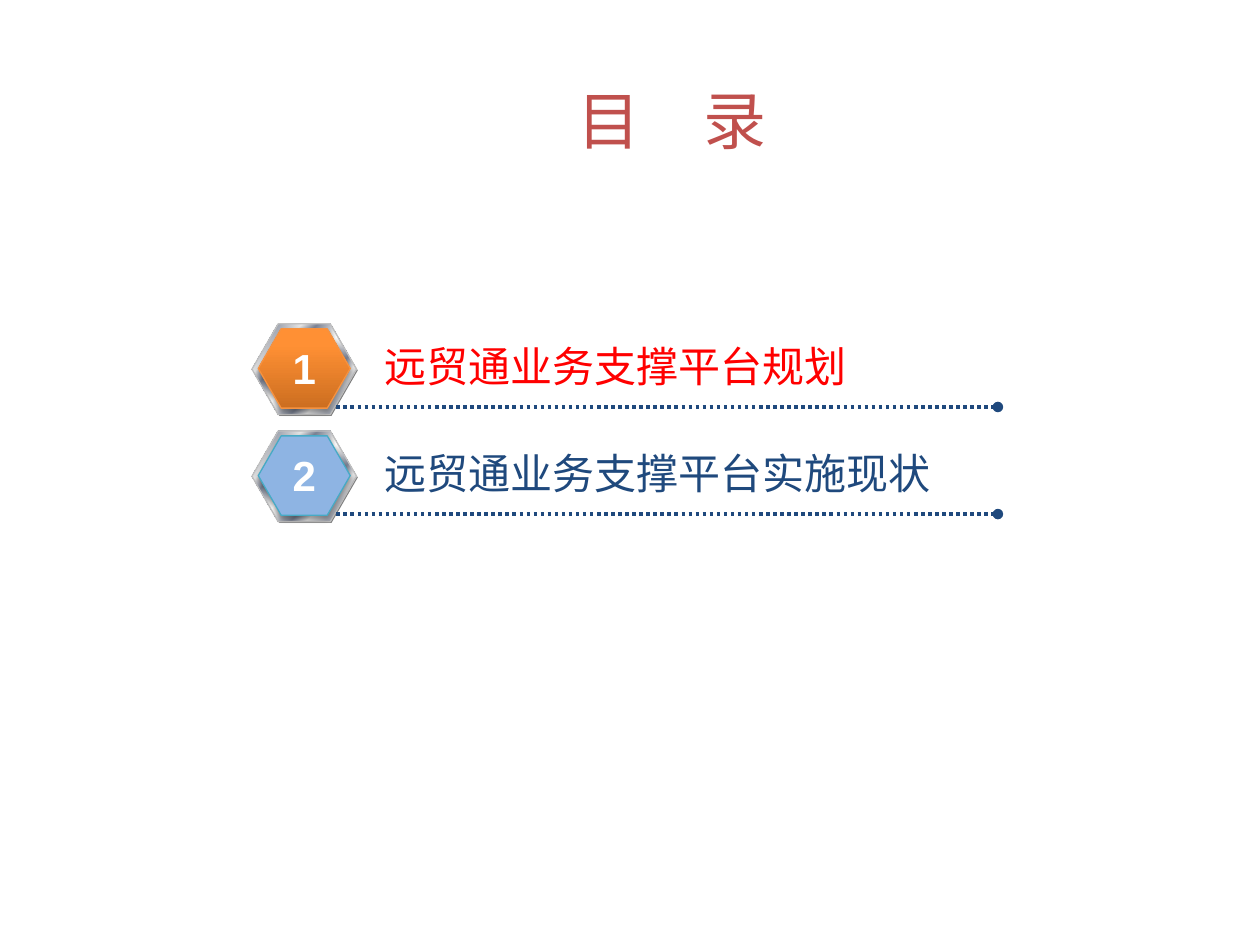
from dataclasses import dataclass

from pptx import Presentation
from pptx.dml.color import RGBColor
from pptx.enum.dml import MSO_LINE
from pptx.enum.shapes import MSO_CONNECTOR, MSO_SHAPE
from pptx.enum.text import MSO_ANCHOR, MSO_AUTO_SIZE, PP_ALIGN
from pptx.oxml import parse_xml
from pptx.oxml.ns import nsdecls, qn
from pptx.util import Emu, Pt

PX = 9144  # EMU in one px, 100 px to the inch
ROW_PITCH = 85


@dataclass(frozen=True)
class Theme:
    title: str = "C0504D"
    active: str = "FF0000"
    navy: str = "1F497D"
    white: str = "FFFFFF"
    shade: str = "808080"
    rim: str = "C0C0C0"
    orange_edge: str = "F69240"
    blue: str = "8EB4E3"
    blue_edge: str = "46AAC5"
    orange: tuple = (270, ((0, "CC6E20"), (80, "FF9034"), (100, "FF9136")))
    steel: tuple = (45, (
        (0, "E6E6E6"), (8, "7D8496"), (26, "E6E6E6"), (34, "7D8496"),
        (46, "E6E6E6"), (50, "FFFFFF"), (54, "E6E6E6"), (66, "7D8496"),
        (74, "E6E6E6"), (92, "7D8496"), (100, "E6E6E6")))
    title_font: str = "Lato"
    body_font: str = "Arial"
    title_size: int = 36
    body_size: int = 24
    edge_width: float = 0.75
    rule_width: int = 2


def emu(*lengths):
    return [Emu(length * PX) for length in lengths]


def rgb(color):
    return RGBColor.from_string(color)


def set_all(target, values):
    for name, value in values.items():
        setattr(target, name, value)


class AgendaSlide:
    def __init__(self, deck, theme):
        self.theme = theme
        self.page = deck.slides.add_slide(deck.slide_layouts[5])

    def fill_text(self, box, text, color, size, font, align=PP_ALIGN.LEFT,
                  bold=False, wrap=True):
        frame = box.text_frame
        set_all(frame, {"word_wrap": wrap, "auto_size": MSO_AUTO_SIZE.NONE,
                        "vertical_anchor": MSO_ANCHOR.TOP})
        para = frame.paragraphs[0]
        para.alignment = align
        span = para.add_run()
        span.text = text
        set_all(span.font, {"name": font, "size": Pt(size), "bold": bold})
        span.font.color.rgb = rgb(color)

    def title(self, text, *place):
        box = self.page.shapes.title
        set_all(box, dict(zip(("left", "top", "width", "height"), emu(*place))))
        self.fill_text(box, text, self.theme.title, self.theme.title_size,
                       self.theme.title_font, PP_ALIGN.CENTER)

    def label(self, group, text, color, *place, **style):
        box = group.shapes.add_textbox(*emu(*place))
        self.fill_text(box, text, color, self.theme.body_size,
                       self.theme.body_font, **style)

    def hexagon(self, group, fill, edge, *place, shadow=False):
        """Fill is a colour, or an angle with its gradient stops."""
        shape = group.shapes.add_shape(MSO_SHAPE.HEXAGON, *emu(*place))
        shape.adjustments[0] = 0.289
        shape.shadow.inherit = False
        if isinstance(fill, str):
            shape.fill.solid()
            shape.fill.fore_color.rgb = rgb(fill)
        else:
            self.gradient(shape, *fill)
        if edge:
            shape.line.color.rgb = rgb(edge)
            shape.line.width = Pt(self.theme.edge_width)
        else:
            shape.line.fill.background()
        if shadow:
            self.drop_shadow(shape)

    def gradient(self, shape, angle, stops):
        marks = "".join(
            f'<a:gs pos="{at * 1000}"><a:srgbClr val="{color}"/></a:gs>'
            for at, color in stops)
        shape._element.spPr.find(qn("a:prstGeom")).addnext(parse_xml(
            f'<a:gradFill {nsdecls("a")} rotWithShape="1"><a:gsLst>{marks}'
            f'</a:gsLst><a:lin ang="{angle * 60000}" scaled="0"/></a:gradFill>'))

    def drop_shadow(self, shape):
        shape._element.spPr.find(qn("a:effectLst")).append(parse_xml(
            f'<a:outerShdw {nsdecls("a")} blurRad="{Pt(3.1)}" '
            f'dist="{Pt(1.8)}" dir="5400000" rotWithShape="0">'
            '<a:srgbClr val="000000"><a:alpha val="35000"/></a:srgbClr>'
            '</a:outerShdw>'))

    def dotted_rule(self, group, left, right, y):
        rule = group.shapes.add_connector(
            MSO_CONNECTOR.STRAIGHT, *emu(left, y, right, y))
        set_all(rule.line, {"width": Pt(self.theme.rule_width),
                            "dash_style": MSO_LINE.ROUND_DOT})
        rule.line.color.rgb = rgb(self.theme.navy)
        rule.line._get_or_add_ln().append(
            parse_xml(f'<a:tailEnd {nsdecls("a")} type="oval"/>'))
        rule._element.spPr.append(parse_xml(f'<a:effectLst {nsdecls("a")}/>'))

    def agenda_row(self, number, text, color, fill, edge):
        top = 257 + (number - 1) * ROW_PITCH
        theme = self.theme
        group = self.page.shapes.add_group_shape()
        self.hexagon(group, theme.shade, None, 201, top + 1, 83, 72)
        self.hexagon(group, theme.steel, theme.rim, 200, top, 83, 72)
        self.hexagon(group, fill, edge, 205, top + 4, 73, 63, shadow=True)
        self.dotted_rule(group, 267, 792, top + 66)
        self.label(group, text, color, 295, top + 8, 488, 51)
        self.label(group, str(number), theme.white, 222, top + 10, 39, 50,
                   align=PP_ALIGN.CENTER, bold=True, wrap=False)


def main():
    deck = Presentation()
    deck.slide_width, deck.slide_height = emu(1000, 750)
    theme = Theme()
    slide = AgendaSlide(deck, theme)
    slide.title("目　录", 401, 60, 264, 71)
    rows = (
        ("远贸通业务支撑平台规划", theme.active, theme.orange, theme.orange_edge),
        ("远贸通业务支撑平台实施现状", theme.navy, theme.blue, theme.blue_edge),
    )
    for number, row in enumerate(rows, 1):
        slide.agenda_row(number, *row)
    deck.save("out.pptx")


if __name__ == "__main__":
    main()
